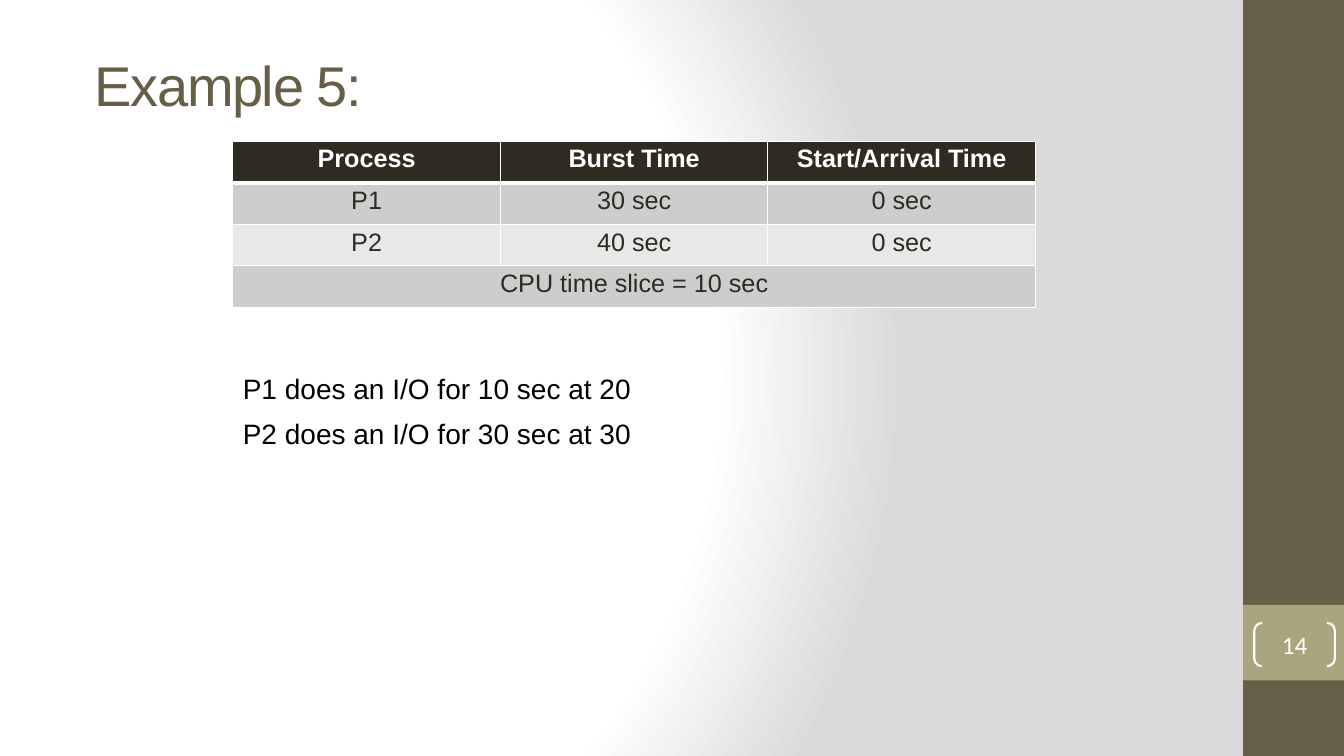
import pptx
import pptx.util
import pptx.dml.color
import pptx.enum.shapes
import pptx.enum.text
import pptx.oxml
import pptx.oxml.ns

Inches, Pt = pptx.util.Inches, pptx.util.Pt
RGBColor = pptx.dml.color.RGBColor
Shape = pptx.enum.shapes.MSO_SHAPE
Anchor = pptx.enum.text.MSO_ANCHOR
Align = pptx.enum.text.PP_ALIGN

WHITE = RGBColor(0xFF, 0xFF, 0xFF)
BLACK = RGBColor(0, 0, 0)
BROWN = RGBColor(0x67, 0x5E, 0x47)
OLIVE = RGBColor(0xA9, 0xA5, 0x7C)
DARK = RGBColor(0x2F, 0x2B, 0x20)
GREY = RGBColor(0xCD, 0xCD, 0xCD)
PALE = RGBColor(0xE8, 0xE8, 0xE8)
EDGE = RGBColor(0xDA, 0xDA, 0xDA)

ROWS = [
    ["Process", "Burst Time", "Start/Arrival Time"],
    ["P1", "30 sec", "0 sec"],
    ["P2", "40 sec", "0 sec"],
    ["CPU time slice = 10 sec", "", ""],
]
FILLS = [DARK, GREY, PALE, GREY]
NOTES = ["P1 does an I/O for 10 sec at 20", "P2 does an I/O for 30 sec at 30"]


def set_font(para, size, color, name="Arial", bold=False):
    font = para.font
    font.name, font.size, font.bold = name, Pt(size), bold
    font.color.rgb = color


def add_back(slide):
    stops = "".join(
        f'<a:gs pos="{pos * 1000}"><a:srgbClr val="{color}"/></a:gs>'
        for pos, color in [(0, WHITE), (75, WHITE), (100, EDGE)])
    back = pptx.oxml.parse_xml(
        f'<p:bg {pptx.oxml.ns.nsdecls("p", "a")}><p:bgPr>'
        f'<a:gradFill rotWithShape="1"><a:gsLst>{stops}</a:gsLst>'
        '<a:path path="circle"><a:fillToRect l="20000" t="50000" '
        'r="100000" b="50000"/></a:path></a:gradFill>'
        '<a:effectLst/></p:bgPr></p:bg>')
    slide.element.cSld.insert(0, back)


def add_bar(slide, top, height, color):
    bar = slide.shapes.add_shape(
        Shape.RECTANGLE, Inches(12.33), Inches(top), Inches(1), Inches(height))
    bar.shadow.inherit = False
    bar.fill.solid()
    bar.fill.fore_color.rgb = color
    bar.line.fill.background()


def add_number(slide, text):
    badge = slide.shapes.add_shape(
        Shape.DOUBLE_BRACKET, Inches(12.44), Inches(6.18), Inches(0.8), Inches(0.43))
    badge.adjustments[0] = 0.18
    badge.shadow.inherit = False
    badge.fill.background()
    badge.line.color.rgb = WHITE
    badge.line.width = Pt(1.5)
    frame = badge.text_frame
    frame.margin_left = frame.margin_right = 0
    frame.margin_top = frame.margin_bottom = 0
    frame.vertical_anchor = Anchor.MIDDLE
    para = frame.paragraphs[0]
    para.text = text
    para.alignment = Align.CENTER
    set_font(para, 18, WHITE, "Calibri")


def set_title(slide, text):
    title = slide.shapes.title
    title.left, title.top = Inches(0.84), Inches(0.61)
    title.width, title.height = Inches(10.91), Inches(0.45)
    frame = title.text_frame
    frame.auto_size = pptx.enum.text.MSO_AUTO_SIZE.NONE
    frame.vertical_anchor = Anchor.MIDDLE
    para = frame.paragraphs[0]
    para.text = text
    para.alignment = Align.LEFT
    set_font(para, 40, BROWN)
    # Tighter letter spacing
    para.runs[0].font._element.set("spc", "-100")


def set_edges(cell, row):
    widths = {"L": 1, "R": 1, "T": 3 if row == 1 else 1, "B": 3 if row == 0 else 1}
    props = cell._tc.get_or_add_tcPr()
    for i, (side, width) in enumerate(widths.items()):
        props.insert(i, pptx.oxml.parse_xml(
            f'<a:ln{side} {pptx.oxml.ns.nsdecls("a")} w="{Pt(width)}"><a:solidFill>'
            f'<a:srgbClr val="{WHITE}"/></a:solidFill></a:ln{side}>'))


def add_grid(slide):
    table = slide.shapes.add_table(
        len(ROWS), len(ROWS[0]), Inches(2.31), Inches(1.4),
        Inches(7.96), Inches(1.65)).table
    for r, texts in enumerate(ROWS):
        for c, text in enumerate(texts):
            cell = table.cell(r, c)
            cell.fill.solid()
            cell.fill.fore_color.rgb = FILLS[r]
            set_edges(cell, r)
            cell.margin_left = cell.margin_right = Inches(0.07)
            cell.margin_top = cell.margin_bottom = Inches(0.04)
            para = cell.text_frame.paragraphs[0]
            para.text = text
            para.alignment = Align.CENTER
            set_font(para, 18, DARK if r else WHITE, bold=r == 0)
    # The last row is one wide cell
    table.cell(3, 0).merge(table.cell(3, 2))


def add_notes(slide):
    box = slide.shapes.add_textbox(
        Inches(2.31), Inches(3.64), Inches(6.66), Inches(0.89))
    frame = box.text_frame
    frame.word_wrap = True
    for i, text in enumerate(NOTES):
        para = frame.add_paragraph() if i else frame.paragraphs[0]
        para.text = text
        para.space_before = Pt(8 if i else 0)
        set_font(para, 20, BLACK)


def main():
    deck = pptx.Presentation()
    deck.slide_width, deck.slide_height = Inches(13.33), Inches(7.5)
    slide = deck.slides.add_slide(deck.slide_layouts[5])
    # Background and side band
    add_back(slide)
    add_bar(slide, 0, 7.5, BROWN)
    add_bar(slide, 6, 0.75, OLIVE)
    add_number(slide, "14")
    # Content
    set_title(slide, "Example 5:")
    add_grid(slide)
    add_notes(slide)
    deck.save("out.pptx")


if __name__ == "__main__":
    main()
